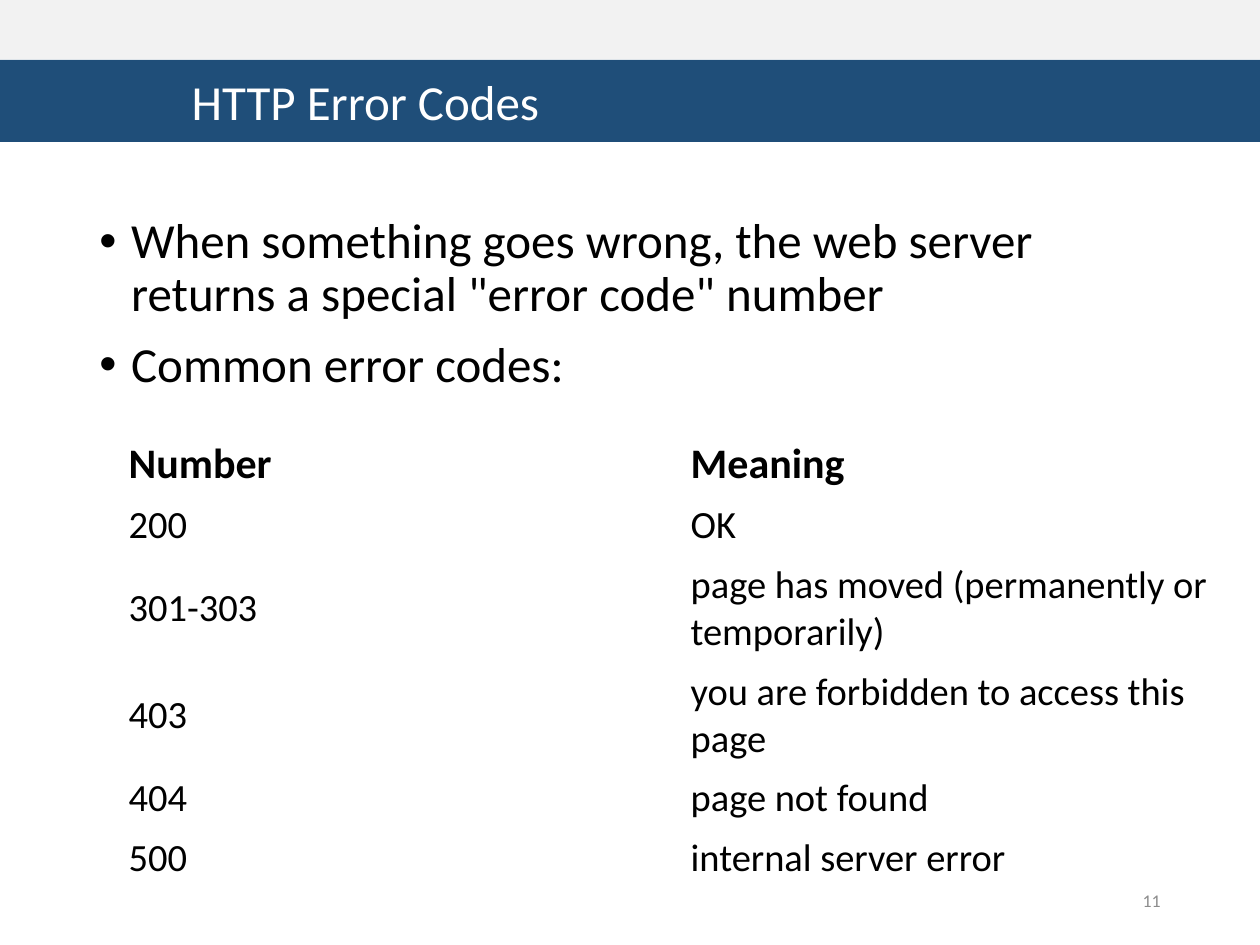
from dataclasses import dataclass
from typing import NamedTuple

from lxml.etree import SubElement
from pptx import Presentation
from pptx.dml.color import RGBColor
from pptx.enum.shapes import MSO_SHAPE as Shape
from pptx.enum.text import MSO_ANCHOR as Anchor, MSO_AUTO_SIZE as AutoSize, PP_ALIGN as Align
from pptx.oxml.ns import qn
from pptx.util import Cm, Pt


@dataclass(frozen=True)
class Theme:
    font: str = "Calibri"
    strip: str = "F2F2F2"
    banner: str = "1F4E79"
    light: str = "FFFFFF"
    dark: str = "000000"
    muted: str = "8C8C8C"
    heading_size: float = 28
    header_size: float = 24
    cell_size: float = 22
    number_size: float = 10.2


class Box(NamedTuple):
    left: float
    top: float
    width: float
    height: float

    def lengths(self) -> list:
        return [Cm(value) for value in self]


class Band(NamedTuple):
    box: Box
    color: str


class ErrorCode(NamedTuple):
    number: str
    meaning: str
    height: float = 1.2


THEME = Theme()
WIDTH, HEIGHT = 25.4, 19.05
BANDS = [
    Band(Box(0, -0.05, WIDTH, 1.25), THEME.strip),
    Band(Box(0, 1.21, WIDTH, 1.65), THEME.banner),
]
POINTS = [
    'When something goes wrong, the web server returns a special "error code" number',
    "Common error codes:",
]
ROWS = [
    ErrorCode("Number", "Meaning", 1.27),
    ErrorCode("200", "OK"),
    ErrorCode("301-303", "page has moved (permanently or temporarily)", 2.15),
    ErrorCode("403", "you are forbidden to access this page", 2.15),
    ErrorCode("404", "page not found"),
    ErrorCode("500", "internal server error"),
]


def write(paragraph, text: str, *, size: float, color: str = THEME.dark, bold: bool = False,
          align=Align.LEFT, spacing: float = 1.0, before: float = 0, bullet: bool = False) -> None:
    """Put formatted text into a paragraph."""
    paragraph.alignment = align
    paragraph.line_spacing = spacing
    paragraph.space_before = Pt(before)
    if bullet:
        properties = paragraph._p.get_or_add_pPr()
        properties.set("marL", str(Cm(0.64)))
        properties.set("indent", str(Cm(-0.64)))
        SubElement(properties, qn("a:buFont"), typeface="Arial")
        SubElement(properties, qn("a:buChar"), char="•")
    run = paragraph.add_run()
    run.text = text
    run.font.name = THEME.font
    run.font.size = Pt(size)
    run.font.bold = bold
    run.font.color.rgb = RGBColor.from_string(color)


def place(shape, box: Box, anchor=Anchor.TOP):
    """Position a text shape and return its frame."""
    shape.left, shape.top, shape.width, shape.height = box.lengths()
    frame = shape.text_frame
    frame.word_wrap = True
    frame.auto_size = AutoSize.NONE
    frame.vertical_anchor = anchor
    return frame


def draw_band(slide, band: Band) -> None:
    stripe = slide.shapes.add_shape(Shape.RECTANGLE, *band.box.lengths())
    stripe.shadow.inherit = False
    stripe.fill.solid()
    stripe.fill.fore_color.rgb = RGBColor.from_string(band.color)
    stripe.line.fill.background()
    # Bands lie behind the placeholders
    slide.shapes._spTree.remove(stripe._element)
    slide.shapes._spTree.insert(2 + BANDS.index(band), stripe._element)


def draw_codes(slide, rows: list[ErrorCode]) -> None:
    box = Box(2.34, 8.71, 22.66, sum(row.height for row in rows))
    codes = slide.shapes.add_table(len(rows), 2, *box.lengths()).table
    codes.first_row = codes.horz_banding = False
    for index, row in enumerate(rows):
        codes.rows[index].height = Cm(row.height)
        header = index == 0
        for cell, text in zip(codes.rows[index].cells, (row.number, row.meaning)):
            cell.fill.background()
            cell.vertical_anchor = Anchor.MIDDLE
            write(cell.text_frame.paragraphs[0], text, bold=header,
                  size=THEME.header_size if header else THEME.cell_size)


def main() -> None:
    deck = Presentation()
    deck.slide_width, deck.slide_height = Cm(WIDTH), Cm(HEIGHT)
    slide = deck.slides.add_slide(deck.slide_layouts[1])

    # Header bands and title
    for band in BANDS:
        draw_band(slide, band)
    title = place(slide.shapes.title, Box(3.61, 1.45, 20.04, 1.17))
    write(title.paragraphs[0], "HTTP Error Codes", size=THEME.heading_size,
          color=THEME.light, spacing=0.9)

    # Bullet list
    body = place(slide.placeholders[1], Box(1.75, 4.24, 21.89, 12.93))
    for index, point in enumerate(POINTS):
        paragraph = body.add_paragraph() if index else body.paragraphs[0]
        write(paragraph, point, size=THEME.heading_size, spacing=0.9,
              before=10 if index else 0, bullet=True)

    # Page number
    number_box = Box(17.93, 17.65, 5.72, 1.02)
    number = place(slide.shapes.add_textbox(*number_box.lengths()), number_box, Anchor.MIDDLE)
    write(number.paragraphs[0], "11", size=THEME.number_size, color=THEME.muted,
          align=Align.RIGHT)

    # Table of codes
    draw_codes(slide, ROWS)
    deck.save("out.pptx")


if __name__ == "__main__":
    main()
